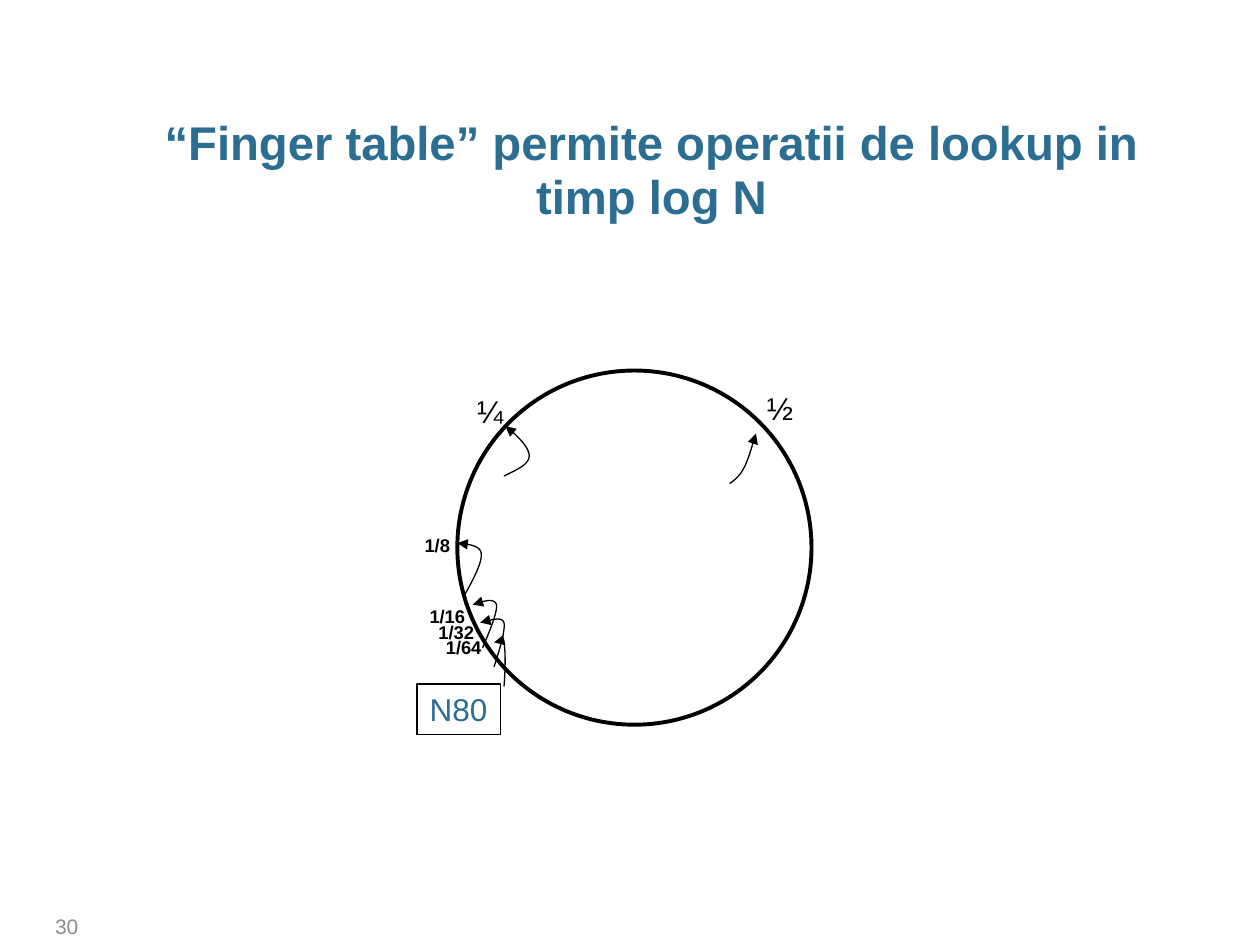
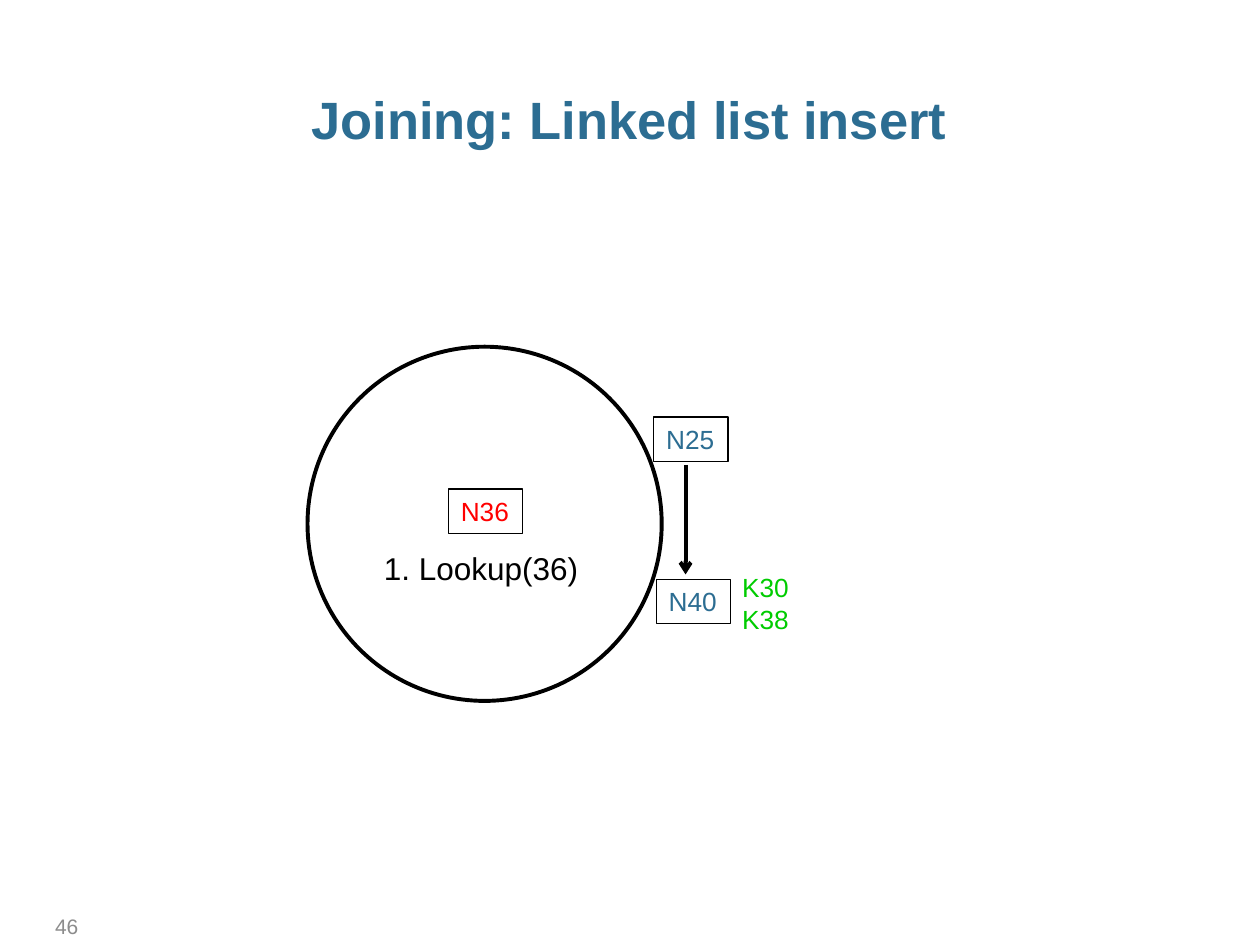
from dataclasses import dataclass

from lxml import etree
from pptx import Presentation
from pptx import util as u
from pptx.dml.color import RGBColor
from pptx.enum import shapes, text
from pptx.oxml.ns import qn


@dataclass(frozen=True)
class Theme:
    font: str = "Arial"
    accent: str = "2C6D92"
    ink: str = "000000"
    muted: str = "8C8C8C"
    joining: str = "FF0000"
    keys: str = "00CC00"
    number_size: float = 12
    label_size: float = 18
    node_size: float = 15
    fraction_size: float = 10.5
    thin: float = 0.75
    thick: float = 2.25


THEME = Theme()
RING_SIZE = 7.14
NUMBER_BOX = (0.86, 18.31, 18.72, 0.71)
CURVE_STEPS = 10

# All places are in centimetres: (left, top, width, height) or (x, y).
FINGER_SLIDE = {
    "number": "30",
    "title": "“Finger table” permite operatii de lookup in timp log N",
    "title_box": (3.1, 2.24, 20.07, 1.27),
    "title_size": 27,
    "ring": (9.22, 7.47),
    "nodes": [("N80", (8.41, 13.79, 1.68, 1.02), THEME.label_size, THEME.accent)],
    "labels": [
        (["½"], (15.21, 7.72, 1.04, 1.02), THEME.label_size, THEME.ink, False),
        (["¼"], (9.37, 7.77, 1.04, 1.02), THEME.label_size, THEME.ink, False),
        (["1/8"], (8.31, 10.64, 1.04, 0.71), THEME.fraction_size, THEME.ink, True),
        (["1/16"], (8.41, 12.07, 1.24, 0.71), THEME.fraction_size, THEME.ink, True),
        (["1/32"], (8.59, 12.4, 1.24, 0.71), THEME.fraction_size, THEME.ink, True),
        (["1/64"], (8.74, 12.7, 1.24, 0.71), THEME.fraction_size, THEME.ink, True),
    ],
    # Each finger is two cubic curves: start, two controls, joint, two controls, tip.
    "fingers": [
        [(10.16, 13.84), (10.19, 13.49), (10.19, 13.11), (10.16, 12.95),
         (10.13, 12.83), (10.03, 12.9), (9.96, 12.95)],
        [(9.96, 13.44), (10.08, 13.08), (10.19, 12.7), (10.16, 12.55),
         (10.11, 12.42), (9.91, 12.5), (9.68, 12.55)],
        [(9.73, 13.06), (9.88, 12.7), (10.03, 12.34), (10.01, 12.19),
         (9.96, 12.04), (9.75, 12.12), (9.53, 12.19)],
        [(9.37, 11.99), (9.55, 11.66), (9.73, 11.33), (9.7, 11.15),
         (9.68, 11), (9.45, 10.97), (9.22, 10.95)],
        [(10.16, 9.6), (10.41, 9.47), (10.67, 9.37), (10.67, 9.19),
         (10.67, 9.02), (10.44, 8.79), (10.19, 8.59)],
        [(14.71, 9.75), (14.81, 9.68), (14.91, 9.6), (14.99, 9.45),
         (15.09, 9.27), (15.16, 8.99), (15.24, 8.74)],
    ],
    "successors": [],
}

JOIN_SLIDE = {
    "number": "46",
    "title": "Joining: Linked list insert",
    "title_box": (0.86, 1.73, 23.65, 1.27),
    "title_size": 30,
    "ring": (6.2, 6.99),
    "nodes": [
        ("N36", (9.04, 9.86, 1.5, 0.89), THEME.node_size, THEME.joining),
        ("N40", (13.23, 11.68, 1.5, 0.89), THEME.node_size, THEME.accent),
        ("N25", (13.18, 8.41, 1.5, 0.89), THEME.node_size, THEME.accent),
    ],
    "labels": [
        (["1. Lookup(36)"], (7.49, 10.95, 4.47, 1.02), THEME.label_size, THEME.ink, False),
        (["K30", "K38"], (14.71, 11.4, 1.47, 1.55), THEME.node_size, THEME.keys, False),
    ],
    "fingers": [],
    "successors": [((13.82, 9.37), (13.82, 11.58))],
}


def cm(values):
    return [u.Cm(value) for value in values]


def write(shape, lines, size, color, bold=False):
    frame = shape.text_frame
    frame.text = "\n".join(lines)
    for paragraph in frame.paragraphs:
        paragraph.alignment = text.PP_ALIGN.LEFT
        font = paragraph.font
        font.name, font.size, font.bold = THEME.font, u.Pt(size), bold
        font.color.rgb = RGBColor.from_string(color)
    return frame


def hug(frame):
    """Keep the text on its own lines and let the box follow it."""
    frame.word_wrap = False
    frame.auto_size = text.MSO_AUTO_SIZE.SHAPE_TO_FIT_TEXT
    frame.vertical_anchor = text.MSO_ANCHOR.TOP


def outline(shape, width):
    shape.shadow.inherit = False
    shape.fill.background()
    stroke(shape, width)


def stroke(shape, width):
    shape.line.color.rgb = RGBColor.from_string(THEME.ink)
    shape.line.width = u.Pt(width)


def add_arrowhead(shape, kind):
    line = shape.line._get_or_add_ln()
    etree.SubElement(line, qn("a:tailEnd"), type=kind)


def add_title(slide, title, box, size):
    frame = write(slide.shapes.add_textbox(*cm(box)), [title], size, THEME.accent, True)
    frame.word_wrap = True
    frame.margin_left = frame.margin_right = 0
    frame.paragraphs[0].alignment = text.PP_ALIGN.CENTER
    frame.paragraphs[0].line_spacing = 0.95


def add_number(slide, number):
    frame = write(slide.shapes.add_textbox(*cm(NUMBER_BOX)), [number],
                  THEME.number_size, THEME.muted)
    frame.word_wrap = True
    frame.vertical_anchor = text.MSO_ANCHOR.MIDDLE


def add_ring(slide, corner):
    ring = slide.shapes.add_shape(shapes.MSO_SHAPE.OVAL,
                                  *cm((*corner, RING_SIZE, RING_SIZE)))
    outline(ring, THEME.thick)


def add_node(slide, name, box, size, color):
    node = slide.shapes.add_shape(shapes.MSO_SHAPE.RECTANGLE, *cm(box))
    outline(node, THEME.thin)
    hug(write(node, [name], size, color))


def add_label(slide, lines, box, size, color, bold):
    hug(write(slide.shapes.add_textbox(*cm(box)), lines, size, color, bold))


def cubic_point(controls, t):
    weights = ((1 - t) ** 3, 3 * t * (1 - t) ** 2, 3 * t ** 2 * (1 - t), t ** 3)
    return tuple(sum(w * c for w, c in zip(weights, axis)) for axis in zip(*controls))


def add_finger(slide, controls):
    track = [cubic_point(controls[first:first + 4], step / CURVE_STEPS)
             for first in range(0, len(controls) - 1, 3)
             for step in range(1, CURVE_STEPS + 1)]
    builder = slide.shapes.build_freeform(*cm(controls[0]))
    builder.add_line_segments([cm(point) for point in track], close=False)
    finger = builder.convert_to_shape()
    outline(finger, THEME.thin)
    add_arrowhead(finger, "triangle")


def add_successor(slide, start, end):
    arrow = slide.shapes.add_connector(shapes.MSO_CONNECTOR.STRAIGHT,
                                       *cm((*start, *end)))
    stroke(arrow, THEME.thick)
    add_arrowhead(arrow, "arrow")
    etree.SubElement(arrow._element.spPr, qn("a:effectLst"))


def build_slide(deck, content):
    slide = deck.slides.add_slide(deck.slide_layouts[6])
    add_number(slide, content["number"])
    add_title(slide, content["title"], content["title_box"], content["title_size"])
    add_ring(slide, content["ring"])
    for node in content["nodes"]:
        add_node(slide, *node)
    for successor in content["successors"]:
        add_successor(slide, *successor)
    for label in content["labels"]:
        add_label(slide, *label)
    for finger in content["fingers"]:
        add_finger(slide, finger)


def main():
    deck = Presentation()
    deck.slide_width, deck.slide_height = cm((25.4, 19.05))
    for content in (FINGER_SLIDE, JOIN_SLIDE):
        build_slide(deck, content)
    deck.save("out.pptx")


if __name__ == "__main__":
    main()
